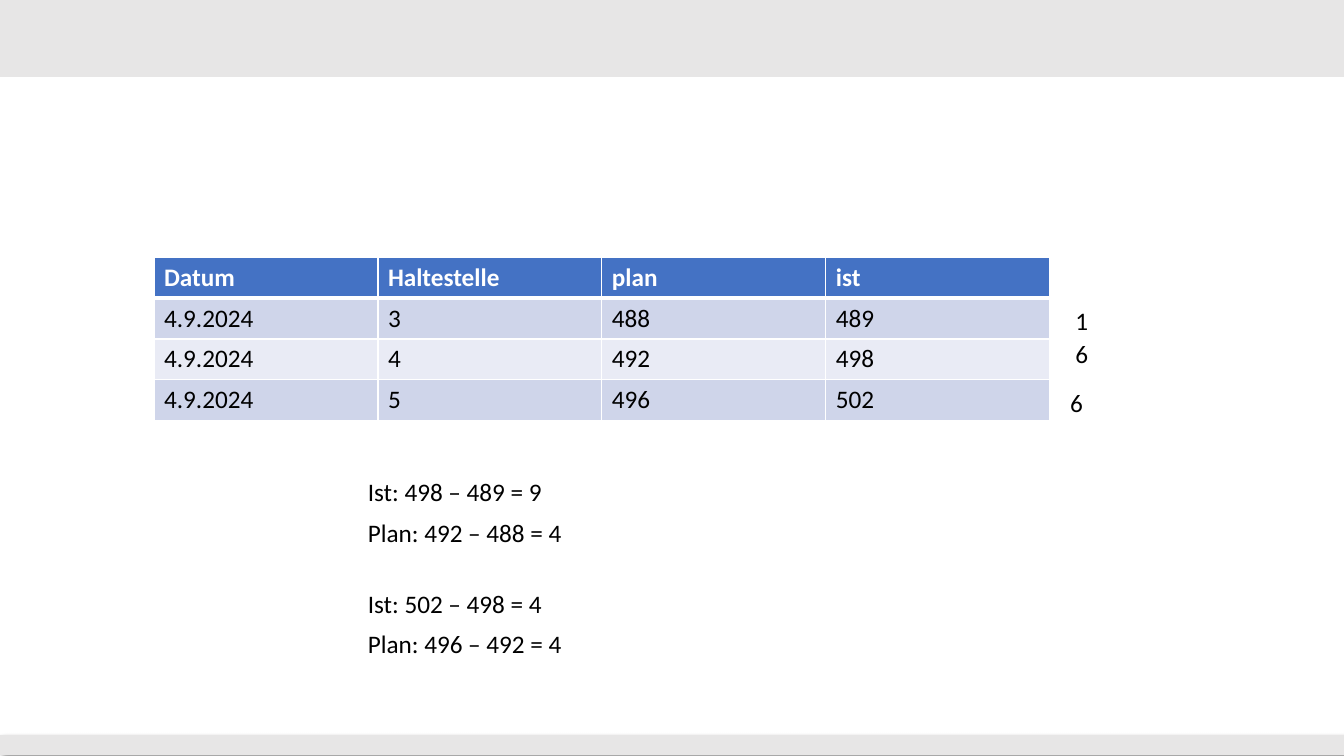
from lxml import etree
from pptx import Presentation
from pptx.dml.color import RGBColor
from pptx.enum.shapes import MSO_SHAPE
from pptx.enum.text import MSO_AUTO_SIZE
from pptx.oxml import parse_xml
from pptx.oxml.ns import nsdecls, qn
from pptx.util import Cm, Pt

RECT = MSO_SHAPE.RECTANGLE
GROW = MSO_AUTO_SIZE.SHAPE_TO_FIT_TEXT
FONT = "Calibri"
BLACK, WHITE, GREY, BLUE = "000000", "FFFFFF", "E7E6E6", "4472C4"
STRIPES = ("CFD5EA", "E9EBF5")
WIDTH, HEIGHT = 33.87, 19.05
ROW_H = 1.03
LINE_H = 1.02

ROWS = [
    ("Datum", "Haltestelle", "plan", "ist"),
    ("4.9.2024", "3", "488", "489"),
    ("4.9.2024", "4", "492", "498"),
    ("4.9.2024", "5", "496", "502"),
]


def color(hex_value):
    return RGBColor.from_string(hex_value)


def write(tf, text, size=18, fill=BLACK, bold=False):
    r = tf.paragraphs[0].add_run()
    r.text = text
    r.font.name = FONT
    r.font.size = Pt(size)
    r.font.bold = bold
    r.font.color.rgb = color(fill)


def add_label(s, text, x, y, w):
    tf = s.shapes.add_textbox(Cm(x), Cm(y), Cm(w), Cm(LINE_H)).text_frame
    tf.word_wrap = True
    tf.auto_size = GROW
    write(tf, text)


def add_band(s, y, h, shadow=False):
    sp = s.shapes.add_shape(RECT, 0, Cm(y), Cm(WIDTH), Cm(h))
    sp.fill.solid()
    sp.fill.fore_color.rgb = color(GREY)
    sp.line.fill.background()
    sp.shadow.inherit = False
    if shadow:
        effects = sp._element.spPr.find(qn("a:effectLst"))
        effects.append(parse_xml(
            f'<a:outerShdw {nsdecls("a")} blurRad="{Pt(4)}" dist="{Pt(3)}" '
            'dir="2700000" algn="tl" rotWithShape="0">'
            f'<a:srgbClr val="{BLACK}"><a:alpha val="40000"/></a:srgbClr>'
            '</a:outerShdw>'))


def set_borders(cell, top, bottom):
    tc_pr = cell._tc.get_or_add_tcPr()
    sides = (("lnL", 1), ("lnR", 1), ("lnT", top), ("lnB", bottom))
    for i, (side, width) in enumerate(sides):
        ln = etree.Element(qn(f"a:{side}"), w=str(Pt(width)))
        fill = etree.SubElement(ln, qn("a:solidFill"))
        etree.SubElement(fill, qn("a:srgbClr"), val=WHITE)
        tc_pr.insert(i, ln)


def add_schedule(s, x, y, w):
    n_rows, n_cols = len(ROWS), len(ROWS[0])
    table = s.shapes.add_table(n_rows, n_cols, Cm(x), Cm(y),
                               Cm(w), Cm(n_rows * ROW_H)).table
    for i, values in enumerate(ROWS):
        table.rows[i].height = Cm(ROW_H)
        header = i == 0
        for j, value in enumerate(values):
            cell = table.cell(i, j)
            cell.fill.solid()
            cell.fill.fore_color.rgb = color(BLUE if header else STRIPES[(i - 1) % 2])
            set_borders(cell, top=3 if i == 1 else 1, bottom=3 if header else 1)
            write(cell.text_frame, value, fill=WHITE if header else BLACK, bold=header)


def add_delays(s, x, y):
    # Delay in minutes beside each stop
    for text, dx, dy in (("1", 0.13, 0), ("6", 0.13, 0.84), ("6", 0, 2.06)):
        add_label(s, text, x + dx, y + dy, 2.26)


def add_calculation(s, x, y, actual, planned):
    add_label(s, actual, x, y, 7.49)
    add_label(s, planned, x, y + 1.03, 8.33)


def main():
    prs = Presentation()
    prs.slide_width, prs.slide_height = Cm(WIDTH), Cm(HEIGHT)
    s = prs.slides.add_slide(prs.slide_layouts[6])

    # Grey bands at the bottom and top
    add_band(s, 18.52, 0.51, shadow=True)
    add_band(s, 0, 1.94)

    # Timetable and delays
    add_schedule(s, 3.88, 6.48, 22.58)
    add_delays(s, 26.72, 7.57)

    # Travel times between stops
    add_calculation(s, 9.02, 11.87, "Ist: 498 – 489 = 9", "Plan: 492 – 488 = 4")
    add_calculation(s, 9.02, 14.69, "Ist: 502 – 498 = 4", "Plan: 496 – 492 = 4")

    prs.save("out.pptx")


if __name__ == "__main__":
    main()
